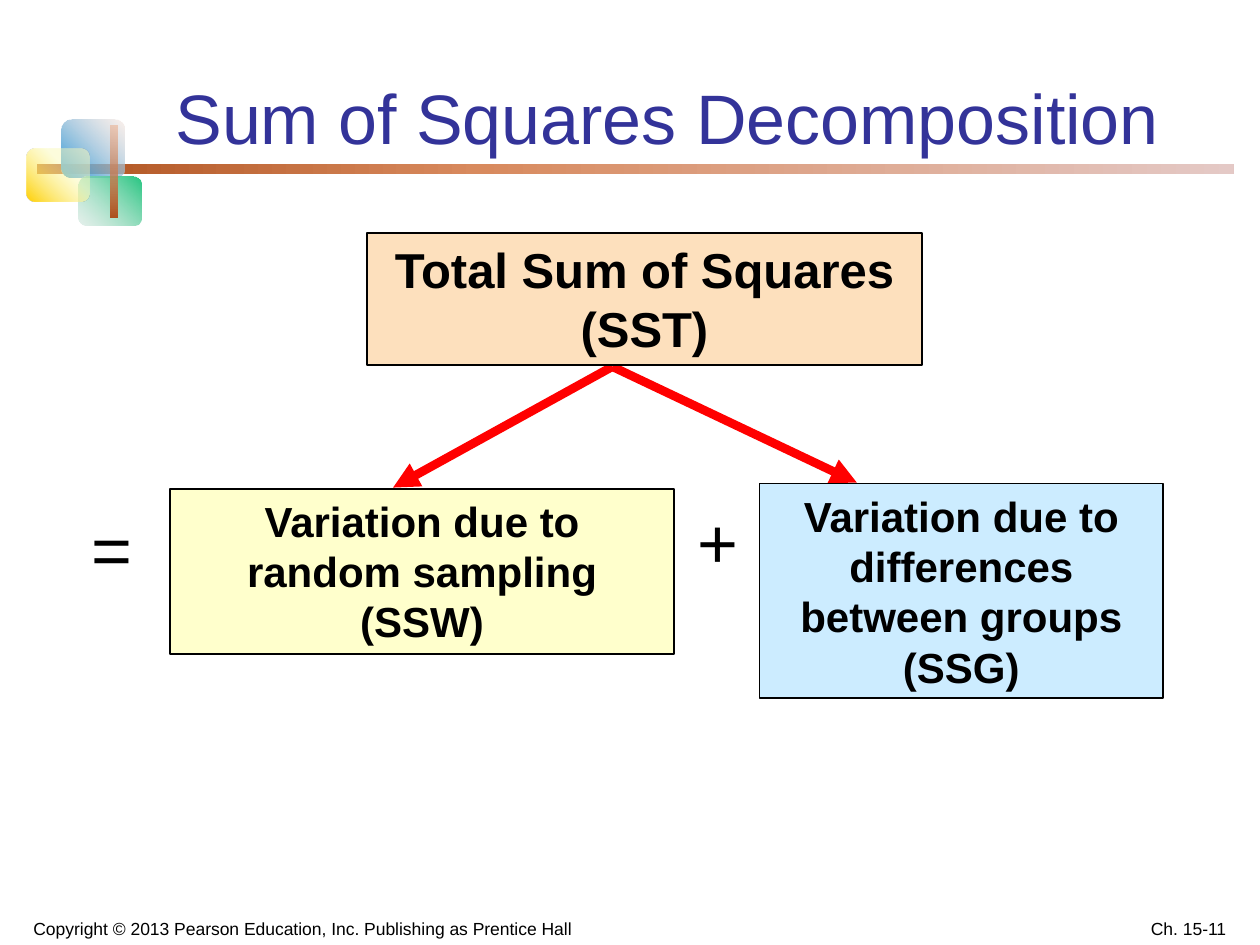
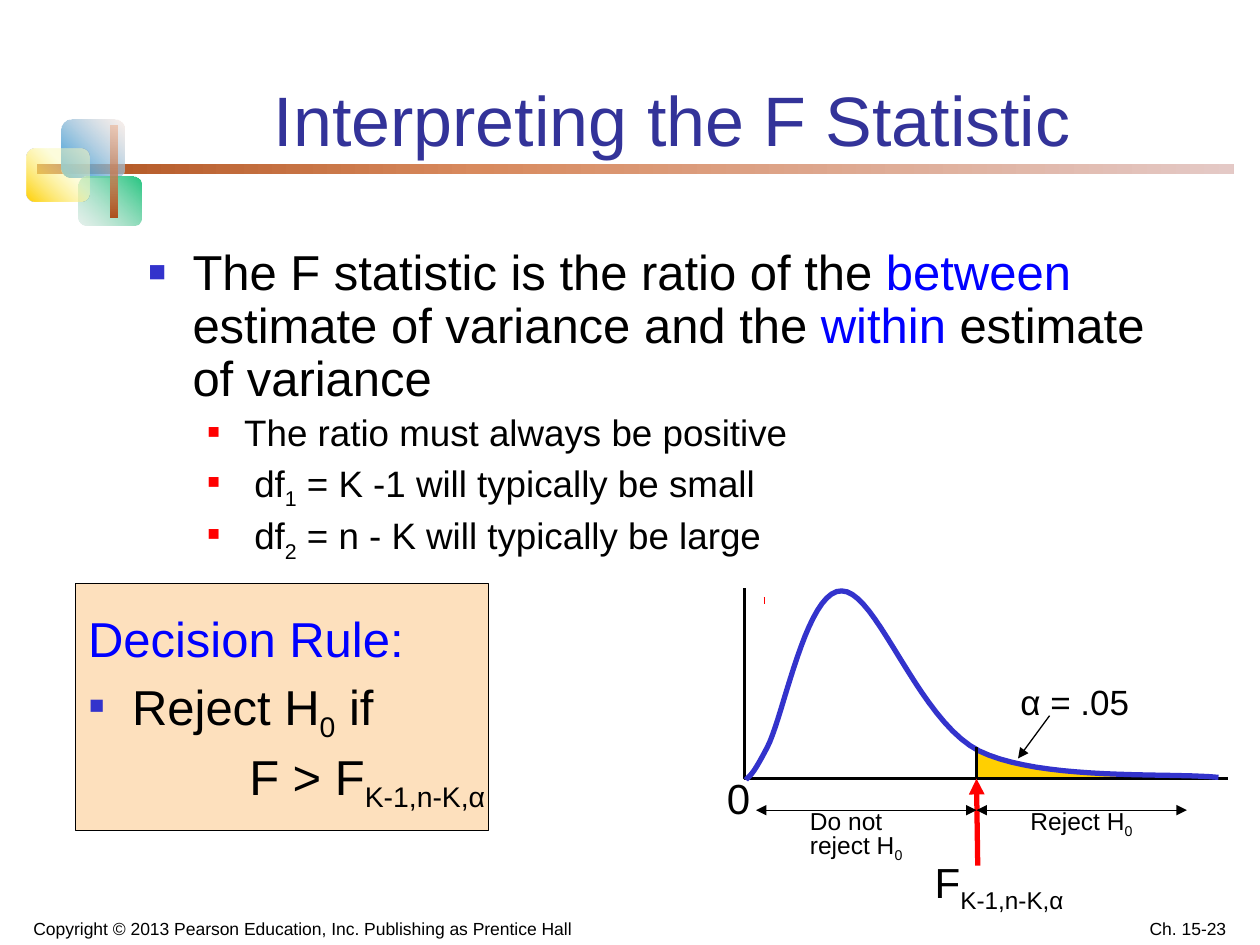
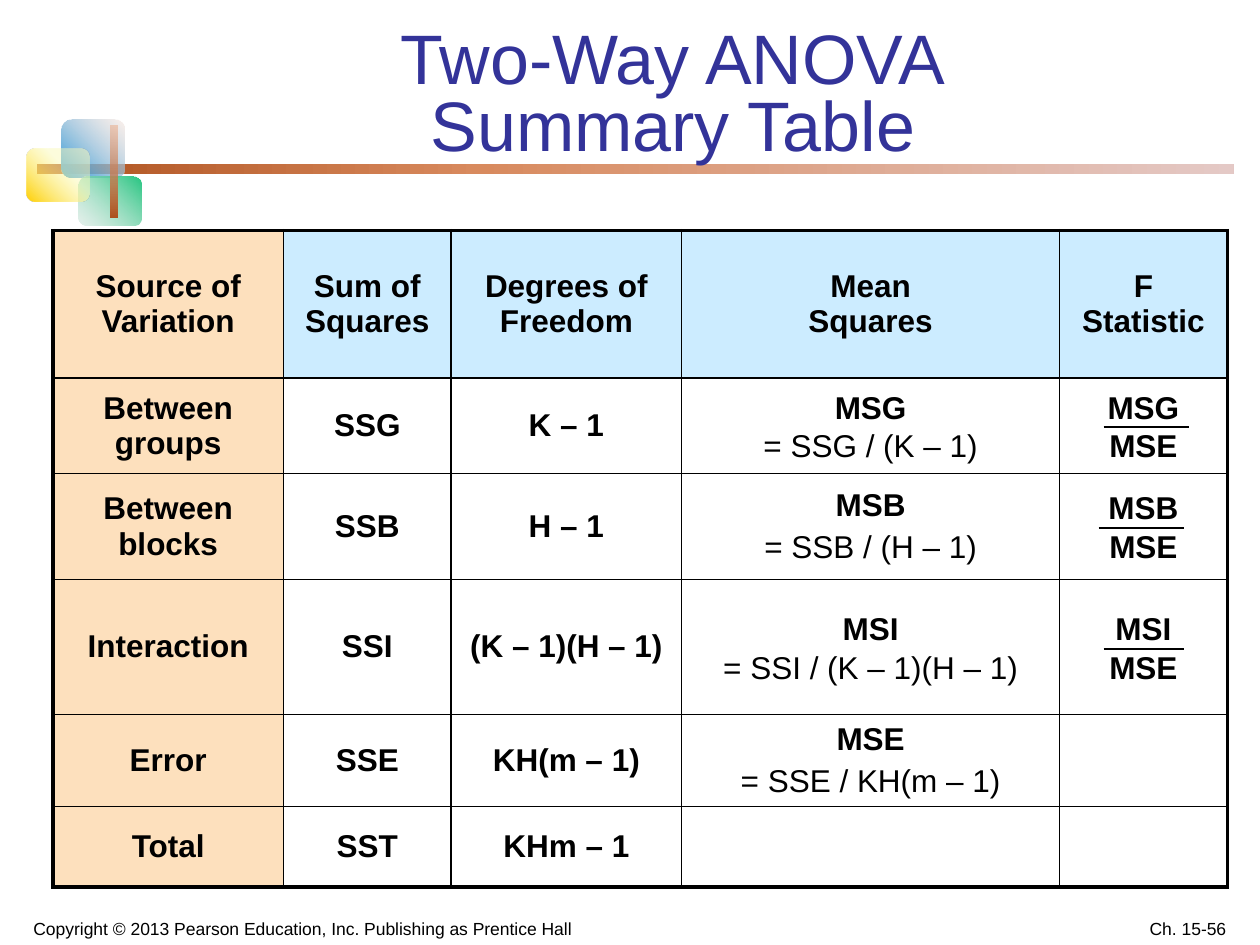
"""Builds three statistics slides on analysis of variance."""
from lxml import etree
from pptx import Presentation
from pptx.dml.color import RGBColor
from pptx.enum.shapes import MSO_CONNECTOR, MSO_SHAPE
from pptx.enum.text import MSO_ANCHOR, PP_ALIGN
from pptx.oxml.ns import qn
from pptx.util import Inches, Pt

CENTER, RIGHT = PP_ALIGN.CENTER, PP_ALIGN.RIGHT
TOP, MIDDLE, BOTTOM = MSO_ANCHOR.TOP, MSO_ANCHOR.MIDDLE, MSO_ANCHOR.BOTTOM
RECT, ROUND_RECT = MSO_SHAPE.RECTANGLE, MSO_SHAPE.ROUNDED_RECTANGLE
STRAIGHT = MSO_CONNECTOR.STRAIGHT
HEAD, TAIL = "a:headEnd", "a:tailEnd"

FONT = "Arial"
BLACK = RGBColor(0x00, 0x00, 0x00)
NAVY = RGBColor(0x33, 0x33, 0x99)
INDIGO = RGBColor(0x33, 0x33, 0xCC)
BLUE = RGBColor(0x00, 0x00, 0xFF)
RED = RGBColor(0xFF, 0x00, 0x00)
GOLD = RGBColor(0xFF, 0xCF, 0x01)
PEACH = RGBColor(0xFD, 0xE0, 0xBD)
SKY = RGBColor(0xCC, 0xEC, 0xFF)
CREAM = RGBColor(0xFF, 0xFF, 0xCC)

COPYRIGHT = "Copyright © 2013 Pearson Education, Inc. Publishing as Prentice Hall"
BAR_STOPS = [(0, "AE511E", 100), (37, "D88A5E", 100), (100, "E4C9C6", 100)]
ORNAMENT = [
    ((0.29, 1.3, 9.5, 0.08), BAR_STOPS, 0, 0),
    ((0.49, 0.95, 0.5, 0.46), [(0, "2895D8", 100), (100, "F7E2D9", 50)], 45, 0.17),
    ((0.62, 1.4, 0.5, 0.39), [(0, "25C580", 100), (100, "CCE2D9", 50)], 225, 0.17),
    ((0.21, 1.18, 0.5, 0.42), [(0, "FFCF01", 100), (63, "FCFCBC", 50)], 45, 0.17),
    ((0.88, 1.0, 0.05, 0.73), [(0, "AE511E", 100), (100, "EAA782", 50)], 90, 0),
]


def sub(parent, tag, **attrs):
    """Append an XML child with the given attributes."""
    el = etree.SubElement(parent, qn(tag))
    for name, value in attrs.items():
        el.set(name, str(value))
    return el


def inches(values):
    """Convert a tuple of numbers to lengths."""
    return [Inches(v) for v in values]


def add_runs(p, runs, size, color, bold):
    """Write runs, each a string or a (string, format) pair."""
    for run in runs:
        text, own = (run, {}) if isinstance(run, str) else run
        fmt = {"name": FONT, "size": Pt(size), "bold": bold, **own}
        shade = fmt.pop("color", color)
        base = fmt.pop("base", 0)
        for i, line in enumerate(text.split("\n")):
            if i:
                p.add_line_break()
            r = p.add_run()
            r.text = line
            for name, value in fmt.items():
                setattr(r.font, name, value)
            r.font.color.rgb = shade
            if base:
                r.font._element.set("baseline", str(base * 1000))


def add_para(tf, runs, size=18, color=BLACK, bold=False, bullet=None, indent=None, **fmt):
    """Fill the empty first paragraph or add a new one."""
    p = tf.paragraphs[0]
    if p.runs:
        p = tf.add_paragraph()
    pPr = p._p.get_or_add_pPr()
    if indent:
        for name, value in zip(("marL", "indent"), indent):
            pPr.set(name, str(Inches(value)))
    if bullet:
        char, shade, percent = bullet
        sub(sub(pPr, "a:buClr"), "a:srgbClr", val=shade)
        sub(pPr, "a:buSzPct", val=percent * 1000)
        sub(pPr, "a:buFont", typeface=FONT)
        sub(pPr, "a:buChar", char=char)
    for name, value in fmt.items():
        setattr(p, name, value)
    add_runs(p, runs, size, color, bold)


def set_frame(tf, anchor=TOP):
    """Set wrapping, anchor and insets."""
    fmt = {"word_wrap": True, "vertical_anchor": anchor,
           "margin_left": Inches(0.1), "margin_right": Inches(0.1),
           "margin_top": Inches(0.05), "margin_bottom": Inches(0.05)}
    for name, value in fmt.items():
        setattr(tf, name, value)


def add_text(s, box, runs, anchor=TOP, **fmt):
    """Add a text box and return its text frame."""
    tf = s.shapes.add_textbox(*inches(box)).text_frame
    set_frame(tf, anchor)
    add_para(tf, runs, **fmt)
    return tf


def style(sp, fill=None, line=None, width=0.75):
    """Set fill and outline of a shape without shadow."""
    sp.shadow.inherit = False
    if fill is None:
        sp.fill.background()
    else:
        sp.fill.solid()
        sp.fill.fore_color.rgb = fill
    if line is None:
        sp.line.fill.background()
    else:
        sp.line.color.rgb = line
        sp.line.width = Pt(width)


def add_box(s, box, fill, text=None, size=24, width=0.75):
    """Add an outlined rectangle with optional bold text."""
    sp = s.shapes.add_shape(RECT, *inches(box))
    style(sp, fill, BLACK, width)
    set_frame(sp.text_frame)
    if text:
        add_para(sp.text_frame, [text], size=size, bold=True, alignment=CENTER)


def add_line(s, start, end, color=BLACK, width=0.75, ends=()):
    """Add a straight line with arrowheads at the named ends."""
    cn = s.shapes.add_connector(STRAIGHT, *inches(start + end))
    cn.line.color.rgb = color
    cn.line.width = Pt(width)
    ln = cn.line._get_or_add_ln()
    for end_tag in ends:
        sub(ln, end_tag, type="triangle")
    sub(cn._element.spPr, "a:effectLst")


def add_outline(s, points, closed=False, **fmt):
    """Add a freeform through points given in inches."""
    first, *rest = [inches(point) for point in points]
    fb = s.shapes.build_freeform(*first)
    fb.add_line_segments(rest, close=closed)
    style(fb.convert_to_shape(), **fmt)


def bezier_points(start, segments, steps=20):
    """Sample a chain of cubic curves."""
    points = [start]
    for b, c, d in segments:
        a = points[-1]
        for i in range(1, steps + 1):
            t = i / steps
            u = 1 - t
            points.append(tuple(u**3 * a[k] + 3 * u * u * t * b[k]
                                + 3 * u * t * t * c[k] + t**3 * d[k] for k in (0, 1)))
    return points


def add_gradient(s, box, stops, angle, corner):
    """Add a borderless rounded rectangle with a gradient."""
    sp = s.shapes.add_shape(ROUND_RECT, *inches(box))
    style(sp)
    sp.adjustments[0] = corner
    sp.fill.gradient()
    sp.fill.gradient_angle = angle
    gs_list = next(sp._element.spPr.iter(qn("a:gsLst")))
    for gs in list(gs_list):
        gs_list.remove(gs)
    for pos, shade, alpha in stops:
        clr = sub(sub(gs_list, "a:gs", pos=pos * 1000), "a:srgbClr", val=shade)
        sub(clr, "a:alpha", val=alpha * 1000)


def add_slide(prs, title, title_box, number, spacing=1.0):
    """Add a slide with ornament, title and footers."""
    s = prs.slides.add_slide(prs.slide_layouts[6])
    for item in ORNAMENT:
        add_gradient(s, *item)
    add_text(s, title_box, [title], BOTTOM, size=40, color=NAVY,
             alignment=CENTER, line_spacing=spacing)
    add_text(s, (0, 7.15, 4.8, 0.35), [COPYRIGHT], BOTTOM, size=10, alignment=CENTER)
    add_text(s, (7.5, 7.15, 2.33, 0.35), [f"Ch. 15-{number}"], BOTTOM, size=10,
             alignment=RIGHT)
    return s


def low(text):
    """Return a subscript run."""
    return text, {"base": -25}


def add_decomposition(prs):
    """Build the sum of squares slide."""
    s = add_slide(prs, "Sum of Squares Decomposition", (1.26, 0.23, 8.07, 1.08), 11)
    for tip in ((3.12, 3.87), (6.8, 3.83)):
        add_line(s, (4.86, 2.91), tip, RED, 5, [TAIL])
    add_box(s, (6.03, 3.84, 3.2, 1.7), SKY,
            "Variation due to differences between groups (SSG)")
    add_box(s, (1.35, 3.88, 4, 1.31), CREAM, "Variation due to random sampling (SSW)")
    add_box(s, (2.91, 1.85, 4.41, 1.05), PEACH, "Total Sum of Squares (SST)", 28, 1)
    add_text(s, (0.63, 3.96, 0.91, 0.76), ["="], size=40)
    add_text(s, (5.44, 3.91, 0.91, 0.76), ["+"], size=40)


def add_f_curve(s):
    """Draw the F distribution with its rejection region."""
    add_outline(s, [(7.75, 6.18), (7.74, 5.93), (7.89, 5.99), (8.01, 6.03), (8.11, 6.05),
                    (8.23, 6.08), (8.49, 6.11), (8.77, 6.13), (9.44, 6.16), (9.44, 6.18)],
                closed=True, fill=GOLD)
    add_outline(s, [(5.91, 4.67), (5.91, 6.18), (9.75, 6.18)], line=BLACK, width=2)
    add_text(s, (5.67, 6.08, 0.5, 0.55), ["0"], size=24)
    add_line(s, (6.06, 4.77), (6.07, 4.77), RED, 4)
    curve = bezier_points((5.92, 6.19), [
        ((5.95, 6.15), (5.96, 6.18), (6.09, 5.93)),
        ((6.22, 5.68), (6.4, 4.68), (6.68, 4.69)),
        ((6.96, 4.69), (7.28, 5.71), (7.77, 5.96)),
        ((8.27, 6.2), (9.27, 6.13), (9.67, 6.17))])
    add_outline(s, curve, line=INDIGO, width=3)
    add_line(s, (7.75, 5.93), (7.75, 6.18), width=1.5)
    add_line(s, (8.33, 5.68), (8.08, 6.02), ends=[TAIL])
    add_text(s, (8, 5.35, 1.17, 0.43), ["α = .05"], size=20)
    add_line(s, (7.76, 6.87), (7.75, 6.18), RED, 3, [TAIL])
    for outer in (6, 9.42):
        add_line(s, (outer, 6.43), (7.75, 6.43), ends=[HEAD, TAIL])
    add_text(s, (8.08, 6.35, 1.08, 0.33), ["Reject H", low("0")], size=14)
    tf = add_text(s, (6.33, 6.35, 1, 0.49), ["Do not"], size=14)
    add_para(tf, ["reject H", low("0")], size=14, line_spacing=0.7)
    add_text(s, (7.32, 6.75, 1.48, 0.5), ["F", low("K-1,n-K,α")], size=24)


def add_interpretation(prs):
    """Build the F statistic slide."""
    s = add_slide(prs, "Interpreting the F Statistic", (1.39, 0.07, 7.89, 1.25), 23, 0.8)
    blue = {"color": BLUE}
    tf = add_text(s, (1.08, 1.92, 8.17, 2.51), [
        "The F statistic is the ratio of the ", ("between ", blue),
        "estimate of variance and the ", ("within ", blue), "estimate of variance"],
        size=28, bullet=("■", INDIGO, 60), indent=(0.35, -0.35), line_spacing=0.9)
    points = [
        (["The ratio must always be positive"], (0.76, -0.29)),
        (["df", low("1"), " = K -1 will typically be small"], (0.84, -0.37)),
        (["df", low("2"), " = n - K will typically be large"], (0.84, -0.37)),
    ]
    for runs, indent in points:
        add_para(tf, runs, size=21, bullet=("■", RED, 55), indent=indent,
                 line_spacing=0.9, space_before=Pt(4.2))
    add_box(s, (0.6, 4.63, 3.28, 1.96), PEACH)
    rule = {"size": 28, "line_spacing": 0.9}
    tf = add_text(s, (0.6, 4.83, 4.15, 1.54), ["Decision Rule:"], color=BLUE, **rule)
    rule["space_before"] = Pt(5.6)
    add_para(tf, ["Reject H", low("0"), " if"], bullet=("▪", INDIGO, 100),
             indent=(0.35, -0.35), **rule)
    add_para(tf, ["F > F", low("K-1,n-K,α")], indent=(1.28, 0), **rule)
    add_f_curve(s)


def set_borders(cell, widths):
    """Draw the left, right, top and bottom borders of a cell."""
    tcPr = cell._tc.get_or_add_tcPr()
    for side, width in zip("LRTB", widths):
        ln = sub(tcPr, f"a:ln{side}", w=Pt(width))
        sub(sub(ln, "a:solidFill"), "a:srgbClr", val=BLACK)


def fill_cell(cell, paras, fill, spacing):
    """Write centred bold paragraphs into a cell."""
    cell.vertical_anchor = MIDDLE
    cell.margin_top = cell.margin_bottom = Inches(0.04)
    if fill is None:
        cell.fill.background()
    else:
        cell.fill.solid()
        cell.fill.fore_color.rgb = fill
    for i, runs in enumerate(paras):
        fmt = {"space_before": Pt(3.6)} if i else {}
        add_para(cell.text_frame, runs, bold=True, alignment=CENTER,
                 line_spacing=spacing, **fmt)


def add_summary(prs):
    """Build the two-way table slide."""
    s = add_slide(prs, "Two-Way ANOVA\nSummary Table", (1.08, 0.19, 8.52, 1.17), 56, 0.8)
    plain = {"bold": False}
    rows = [
        ["Source of\nVariation", "Sum of\nSquares", "Degrees of Freedom",
         "Mean\nSquares", "F\nStatistic"],
        ["Between groups", "SSG", "K – 1",
         [["MSG\n", ("= SSG / (K – 1)", plain)]], "MSG\nMSE"],
        ["Between blocks", "SSB", "H – 1",
         [["MSB"], [("= SSB / (H – 1)", plain)]], "MSB\nMSE"],
        ["Interaction", "SSI", "(K – 1)(H – 1)",
         [["MSI\n", ("= SSI / (K – 1)(H – 1)", plain)]], "MSI\nMSE"],
        ["Error", "SSE", "KH(m – 1)",
         [["MSE"], [("= SSE / KH(m – 1)", plain)]], ""],
        ["Total", "SST", "KHm – 1", "", ""],
    ]
    widths = [1.83, 1.33, 1.83, 3, 1.33]
    heights = [1.17, 0.76, 0.84, 1.07, 0.71, 0.64]
    box = (0.42, 1.83, sum(widths), sum(heights))
    table = s.shapes.add_table(len(rows), len(widths), *inches(box)).table
    table.first_row = table.horz_banding = False
    for col, width in zip(table.columns, widths):
        col.width = Inches(width)
    last_row, last_col = len(rows) - 1, len(widths) - 1
    for i, (row, height) in enumerate(zip(rows, heights)):
        table.rows[i].height = Inches(height)
        for j, content in enumerate(row):
            cell = table.cell(i, j)
            edges = (j == 0, j == last_col, i == 0, i == last_row)
            set_borders(cell, [2.25 if edge else 1 for edge in edges])
            paras = [[content]] if isinstance(content, str) else content
            fill = PEACH if j == 0 else SKY if i == 0 else None
            loose = i > 0 and j > 2 and len(paras) == 1
            fill_cell(cell, paras, fill, 1.1 if loose else 1.0)
    for left, right, y in ((8.76, 9.44, 3.39), (8.72, 9.4, 4.19), (8.76, 9.4, 5.15)):
        add_line(s, (left, y), (right, y))


def main():
    """Build and save the presentation."""
    prs = Presentation()
    prs.slide_width, prs.slide_height = Inches(10), Inches(7.5)
    add_decomposition(prs)
    add_interpretation(prs)
    add_summary(prs)
    prs.save("out.pptx")


if __name__ == "__main__":
    main()
